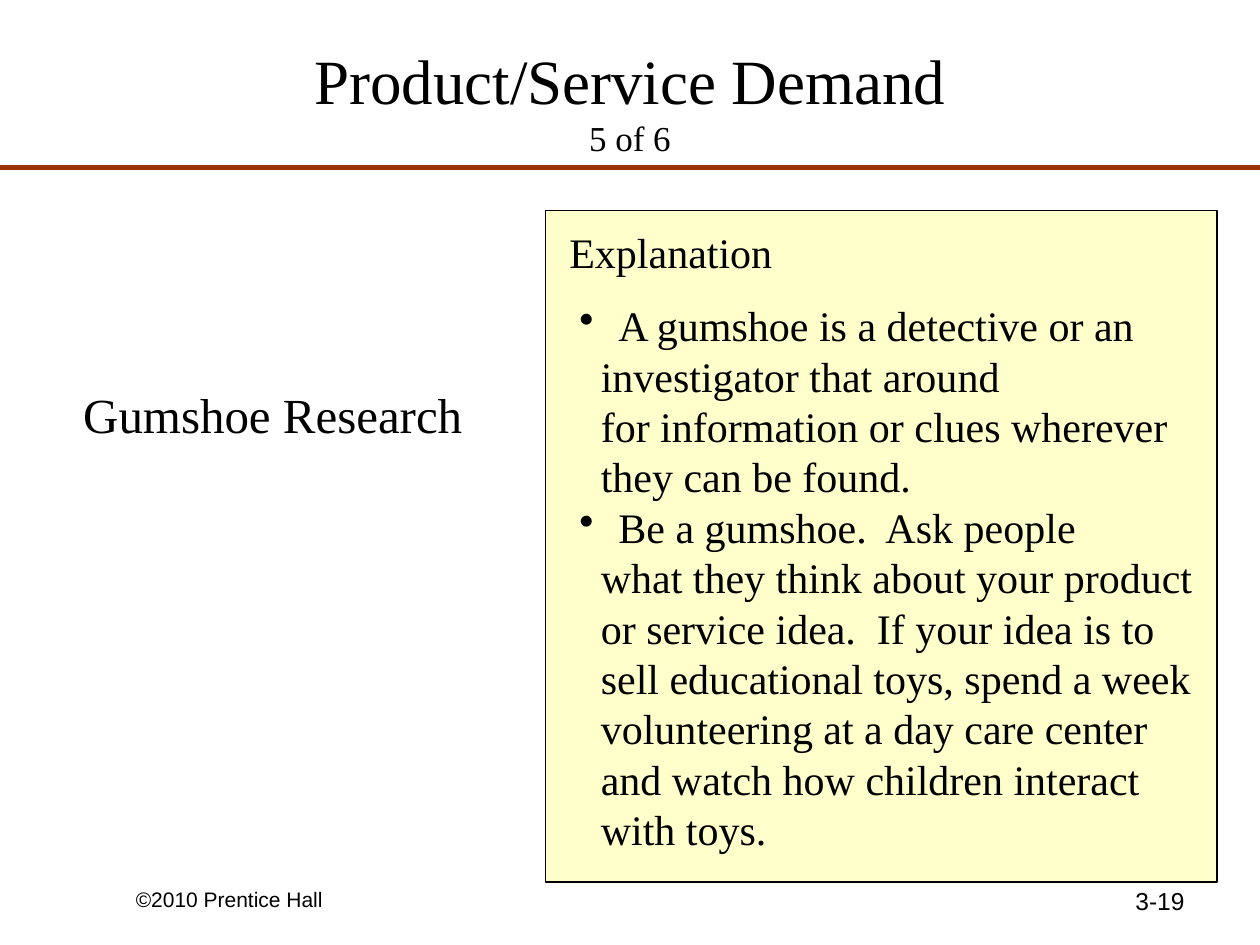
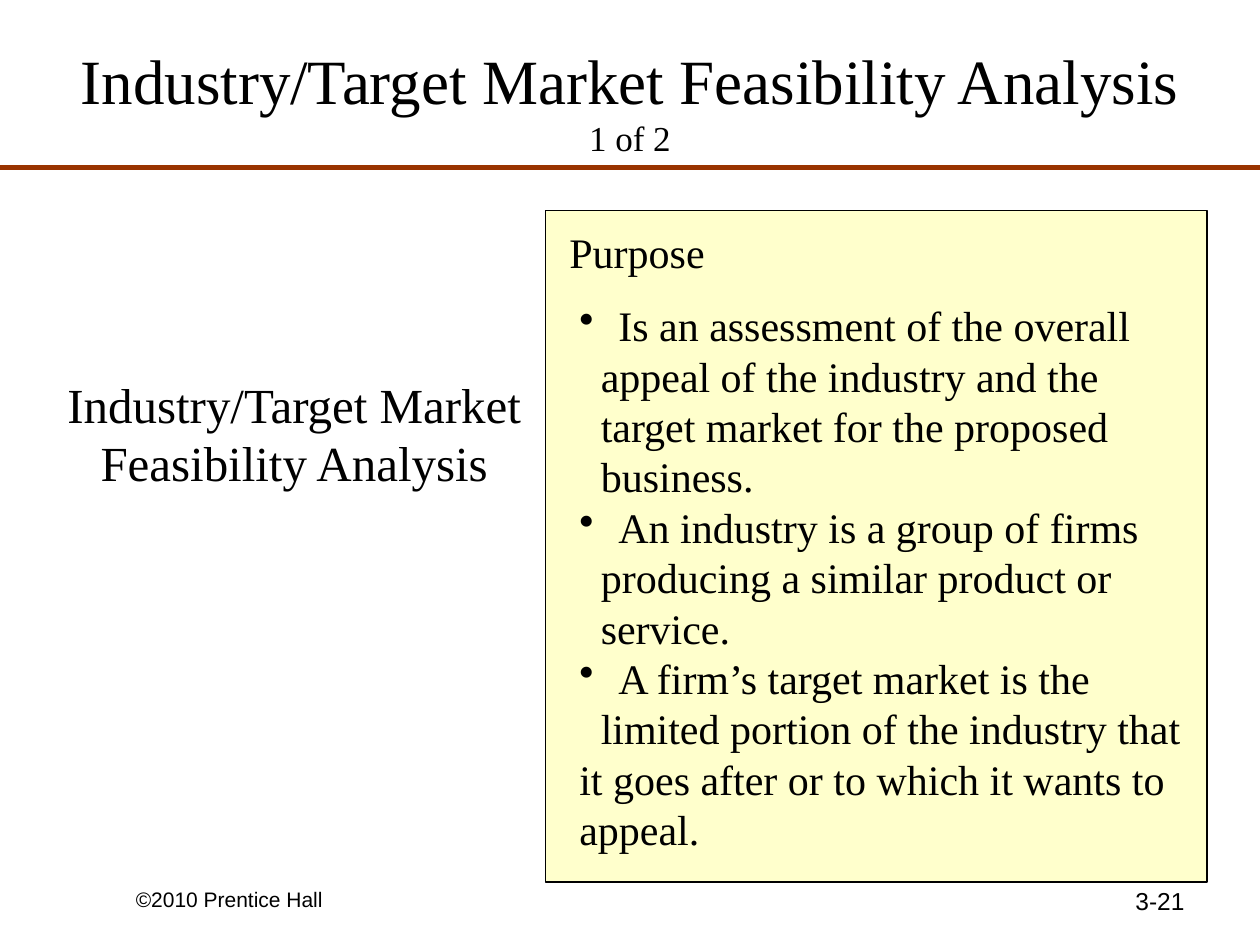
import pptx
import pptx.util
import pptx.dml.color
import pptx.enum.shapes
import pptx.enum.text
import pptx.oxml.ns
from lxml import etree

Inches = pptx.util.Inches
Pt = pptx.util.Pt
Align = pptx.enum.text.PP_ALIGN
qn = pptx.oxml.ns.qn

BLACK, RUST, CREAM = "000000", "993300", "FFFFCC"
SERIF, SANS = "Times New Roman", "Arial"
TITLE_ONLY = 5
LEADING = 1.2
HANG, STEP = 0.31, 0.17  # text after a bullet, first-line indent of the rest


def color(code):
    return pptx.dml.color.RGBColor.from_string(code)


def style(para, size, face=SERIF, align=Align.LEFT):
    para.alignment = align
    para.font.size = Pt(size)
    para.font.name = face
    para.font.color.rgb = color(BLACK)


def indent(para, left, first):
    props = para._p.get_or_add_pPr()
    props.set("marL", str(Inches(left)))
    props.set("indent", str(Inches(first)))
    return props


def bullet(para):
    props = indent(para, HANG, -HANG)
    tint = etree.SubElement(props, qn("a:buClr"))
    etree.SubElement(tint, qn("a:srgbClr"), val=BLACK)
    etree.SubElement(props, qn("a:buChar"), char="•")


def frame(slide, box):
    text = slide.shapes.add_textbox(*map(Inches, box)).text_frame
    text.word_wrap = True
    return text


def note(slide, box, words, size, face=SERIF, align=Align.LEFT, leading=None):
    para = frame(slide, box).paragraphs[0]
    para.text = words
    style(para, size, face, align)
    if leading:
        para.line_spacing = Pt(size * leading)


def header(slide, title, part):
    """Title with its part count, above the rule."""
    shape = slide.shapes.title
    shape.left, shape.top, shape.width, shape.height = map(
        Inches, (0.5, 0.17, 9, 1.25))
    text = shape.text_frame
    text.auto_size = pptx.enum.text.MSO_AUTO_SIZE.NONE
    text.vertical_anchor = pptx.enum.text.MSO_ANCHOR.MIDDLE
    para = text.paragraphs[0]
    para.text = title + "\v"
    style(para, 36, align=Align.CENTER)
    run = para.add_run()
    run.text = part
    run.font.size = Pt(20)

    rule = slide.shapes.add_connector(
        pptx.enum.shapes.MSO_CONNECTOR.STRAIGHT,
        0, Inches(1.33), Inches(10), Inches(1.33))
    rule.line.color.rgb = color(RUST)
    rule.line.width = Pt(3)
    etree.SubElement(rule._element.spPr, qn("a:effectLst"))


def footer(slide, number):
    note(slide, (0.98, 6.99, 2.33, 0.27), "©2010 Prentice Hall", 12, SANS)
    note(slide, (7.17, 6.98, 2.33, 0.52), number, 14, SANS, Align.RIGHT)


def card(slide, box, head, points):
    """Framed panel: a heading, then points given as lists of lines."""
    left, top, width, height = box
    panel = slide.shapes.add_shape(
        pptx.enum.shapes.MSO_SHAPE.RECTANGLE, *map(Inches, box))
    panel.shadow.inherit = False
    panel.fill.solid()
    panel.fill.fore_color.rgb = color(CREAM)
    panel.line.color.rgb = color(BLACK)
    panel.line.width = Pt(0.75)

    note(slide, (left + 0.09, top + 0.08, 5.08, 0.5), head, 24,
         leading=LEADING)

    text = frame(slide, (left + 0.17, top + 0.66, width - 0.25, height - 0.83))
    para = None
    for lines in points:
        for row, line in enumerate(lines):
            para = text.add_paragraph() if para else text.paragraphs[0]
            if row == 0:
                bullet(para)
            else:
                indent(para, 0, STEP)
            para.text = line
            style(para, 24)
            para.line_spacing = Pt(24 * LEADING)


def topic(deck, title, part, number, label, spot, width, head, points):
    slide = deck.slides.add_slide(deck.slide_layouts[TITLE_ONLY])
    footer(slide, number)
    header(slide, title, part)
    note(slide, spot, label, 28, align=Align.CENTER, leading=LEADING)
    card(slide, (4.33, 1.67, width, 5.33), head, points)


def main():
    deck = pptx.Presentation()
    deck.slide_width, deck.slide_height = Inches(10), Inches(7.5)
    topic(
        deck, "Product/Service Demand", "5 of 6", "3-19",
        "Gumshoe Research", (0, 3, 4.33, 0.57), 5.33, "Explanation",
        [["A gumshoe is a detective or an",
          "investigator that around",
          "for information or clues wherever",
          "they can be found."],
         ["Be a gumshoe.  Ask people",
          "what they think about your product",
          "or service idea.  If your idea is to",
          "sell educational toys, spend a week",
          "volunteering at a day care center",
          "and watch how children interact",
          "with toys."]])
    topic(
        deck, "Industry/Target Market Feasibility Analysis", "1 of 2", "3-21",
        "Industry/Target Market Feasibility Analysis",
        (0.17, 2.92, 4.33, 1.04), 5.25, "Purpose",
        [["Is an assessment of the overall",
          "appeal of the industry and the",
          "target market for the proposed",
          "business."],
         ["An industry is a group of firms",
          "producing a similar product or",
          "service."],
         ["A firm’s target market is the",
          "limited portion of the industry that it goes after "
          "or to which it wants to appeal."]])
    deck.save("out.pptx")


if __name__ == "__main__":
    main()
